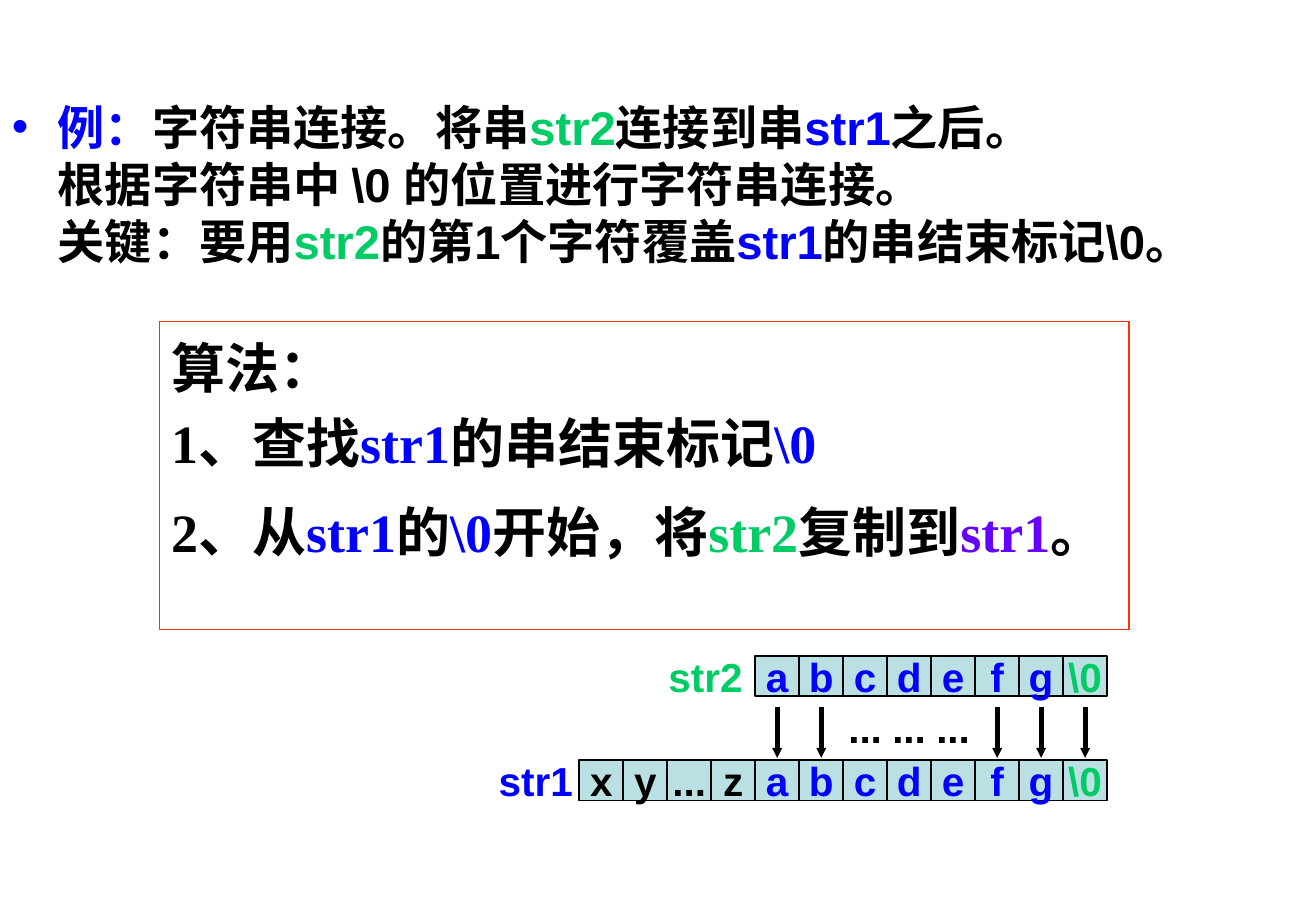
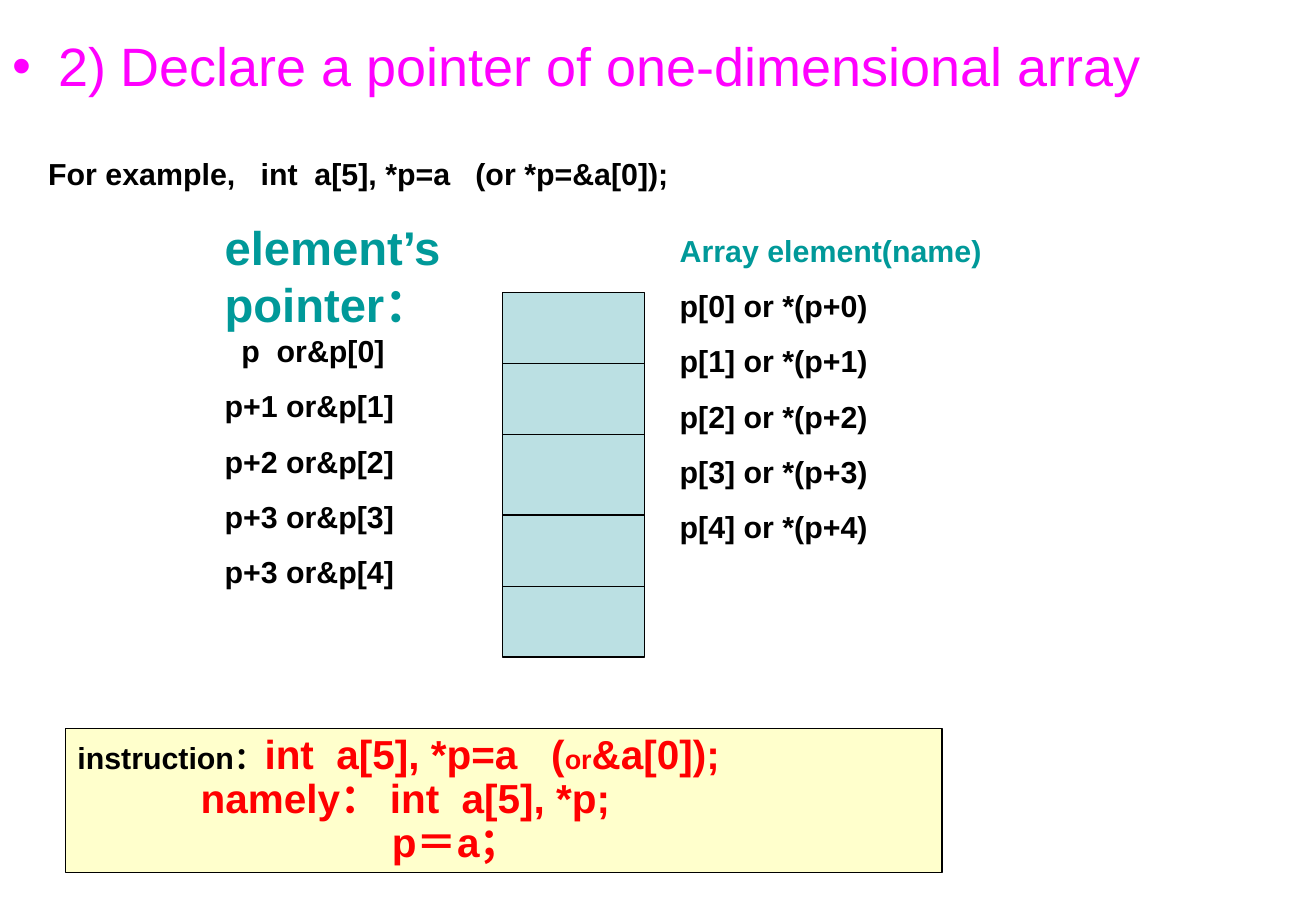
from lxml import etree
from pptx import Presentation
from pptx.dml.color import RGBColor
from pptx.enum import shapes, text
from pptx.oxml import ns
from pptx.util import Cm, Pt

COLORS = {
    "black": "000000", "blue": "0000FF", "green": "00CC66", "violet": "6600FF",
    "teal": "009999", "red": "FF0000", "magenta": "FF00FF", "orange": "FF3300",
    "cell": "BBE0E3", "note": "FFFFCC",
}
TITLE_ONLY, BLANK = 5, 6

# Content: a paragraph is a dict of runs (text, colour, optional size) and spacing
EXAMPLE = [
    dict(runs=[("例：", "blue"), ("字符串连接。将串", "black"), ("str2", "green"),
               ("连接到串", "black"), ("str1", "blue"), ("之后。", "black")],
         left=0.96, first=-0.96, bullet="blue", spacing=0.8),
    dict(runs=[("根据字符串中 \\0 的位置进行字符串连接。", "black")],
         left=0.96, spacing=0.8, before=7),
    dict(runs=[("关键：要用", "black"), ("str2", "green"), ("的第1个字符覆盖", "black"),
               ("str1", "blue"), ("的串结束标记\\0。", "black")],
         left=0.96, spacing=0.8, before=7),
]
ALGORITHM = [
    dict(runs=[("算法：", "black")], left=1.27, first=-1.27, spacing=1.1),
    dict(runs=[("1、查找", "black"), ("str1", "blue"), ("的串结束标记", "black"),
               ("\\0", "blue")],
         left=1.27, first=-1.27, spacing=0.6, before=20),
    dict(runs=[("2、从", "black"), ("str1", "blue"), ("的", "black"), ("\\0", "blue"),
               ("开始，将", "black"), ("str2", "green"), ("复制到", "black"),
               ("str1", "violet"), ("。", "black")],
         left=1.27, first=-1.27, spacing=0.9, before=20),
]
STR2_CELLS = [(letter, "blue") for letter in "abcdefg"] + [("\\0", "green")]
STR1_CELLS = [(letter, "black") for letter in ("x", "y", "...", "z")] + STR2_CELLS
# label, colour, label left, first column, top, cells
STRING_ROWS = [
    ("str2", "green", 13.84, 4, 13.72, STR2_CELLS),
    ("str1", "blue", 10.29, 0, 15.9, STR1_CELLS),
]
ARROW_COLUMNS = (4, 5, 9, 10, 11)
DOTS_COLUMNS = (6, 7, 8)

HEADING = [dict(runs=[("2) Declare a pointer of one-dimensional array", "magenta")],
                left=0.96, first=-0.96, bullet="magenta", spacing=0.9)]
DECLARATION = [dict(runs=[("For example,   int  a[5], *p=a   (or *p=&a[0]);", "black")])]
POINTERS = [
    dict(runs=[("element’s pointer：", "teal", 28)]),
    dict(runs=[("p  or&p[0]", "black")], left=0.35),
] + [dict(runs=[(line, "black")], before=11.2)
     for line in ("p+1 or&p[1]", "p+2 or&p[2]", "p+3 or&p[3]", "p+3 or&p[4]")]
ELEMENTS = [dict(runs=[("Array element(name)", "teal")])] + [
    dict(runs=[(f"p[{i}] or *(p+{i})", "black")], before=11.2) for i in range(5)]
INSTRUCTION = [
    dict(runs=[("instruction：", "black", 18), ("int  a[5], *p=a   (", "red"),
               ("or", "red", 16), ("&a[0]);", "red")], spacing=0.9),
    dict(runs=[("namely： int  a[5], *p;", "red")], left=2.58, spacing=0.9),
    dict(runs=[("p＝a；", "red")], left=6.58, spacing=0.9),
]
ARRAY_ROW_HEIGHTS = (1.48, 1.49, 1.68, 1.49, 1.48)


def rgb(name):
    return RGBColor.from_string(COLORS[name])


def add_bullet(properties, color):
    bullet_color = etree.SubElement(properties, ns.qn("a:buClr"))
    etree.SubElement(bullet_color, ns.qn("a:srgbClr"), val=COLORS[color])
    etree.SubElement(properties, ns.qn("a:buFont"), typeface="Arial")
    etree.SubElement(properties, ns.qn("a:buChar"), char="•")


def write(shape, paragraphs, size, font="Arial", bold=True, centered=False):
    frame = shape.text_frame
    frame.auto_size = text.MSO_AUTO_SIZE.NONE
    frame.word_wrap = not centered
    frame.vertical_anchor = text.MSO_ANCHOR.MIDDLE if centered else text.MSO_ANCHOR.TOP
    for index, content in enumerate(paragraphs):
        paragraph = frame.add_paragraph() if index else frame.paragraphs[0]
        properties = paragraph._p.get_or_add_pPr()
        properties.set("marL", str(Cm(content.get("left", 0))))
        properties.set("indent", str(Cm(content.get("first", 0))))
        if "bullet" in content:
            add_bullet(properties, content["bullet"])
        paragraph.alignment = text.PP_ALIGN.CENTER if centered else text.PP_ALIGN.LEFT
        paragraph.line_spacing = content.get("spacing", 1.0)
        paragraph.space_before = Pt(content.get("before", 0))
        for words, color, *own_size in content["runs"]:
            run = paragraph.add_run()
            run.text = words
            run.font.name = font
            run.font.size = Pt(own_size[0] if own_size else size)
            run.font.bold = bold
            run.font.color.rgb = rgb(color)


def add_text(slide, box, paragraphs, size, **style):
    shape = slide.shapes.add_textbox(*map(Cm, box))
    write(shape, paragraphs, size, **style)


def add_box(slide, box, fill=None, line="black", width=0.75):
    shape = slide.shapes.add_shape(shapes.MSO_SHAPE.RECTANGLE, *map(Cm, box))
    shape.shadow.inherit = False
    if fill:
        shape.fill.solid()
        shape.fill.fore_color.rgb = rgb(fill)
    else:
        shape.fill.background()
    shape.line.color.rgb = rgb(line)
    shape.line.width = Pt(width)
    return shape


def add_line(slide, ends, width, arrow=False):
    line = slide.shapes.add_connector(shapes.MSO_CONNECTOR.STRAIGHT, *map(Cm, ends))
    line.line.color.rgb = rgb("black")
    line.line.width = Pt(width)
    if arrow:
        etree.SubElement(line.line._get_or_add_ln(), ns.qn("a:tailEnd"),
                         type="triangle", w="sm", len="sm")
    etree.SubElement(line._element.spPr, ns.qn("a:effectLst"))


def build_concatenation(presentation):
    slide = presentation.slides.add_slide(presentation.slide_layouts[BLANK])
    add_text(slide, (0, 2.16, 27.51, 5.16), EXAMPLE, 28)

    # String cells and their labels
    row_left, cell_width, cell_height = 12.12, 0.92, 0.84
    arrow_top, arrow_bottom = 14.78, 15.85

    def cell_box(column, top):
        return row_left + column * cell_width, top, cell_width, cell_height

    for label, color, label_left, first_column, top, cells in STRING_ROWS:
        add_text(slide, (label_left, top, 2 * cell_width, cell_height),
                 [dict(runs=[(label, color)])], 24, centered=True)
        for column, cell in enumerate(cells, first_column):
            shape = add_box(slide, cell_box(column, top), "cell", width=1)
            write(shape, [dict(runs=[cell])], 24, centered=True)

    # Copy arrows
    for column in ARROW_COLUMNS:
        x = row_left + (column + 0.5) * cell_width
        add_line(slide, (x, arrow_top, x, arrow_bottom), 3, arrow=True)
    for column in DOTS_COLUMNS:
        add_text(slide, cell_box(column, arrow_top),
                 [dict(runs=[("...", "black")])], 24, centered=True)

    steps = add_box(slide, (3.33, 6.73, 20.29, 6.43), line="orange")
    write(steps, ALGORITHM, 32, font="Times New Roman")


def build_array_pointer(presentation):
    slide = presentation.slides.add_slide(presentation.slide_layouts[TITLE_ONLY])
    title = slide.shapes.title
    title.left, title.top, title.width, title.height = map(Cm, (0, 0.71, 26.77, 2.54))
    write(title, HEADING, 32, bold=False)
    add_text(slide, (4.45, 4.45, 7.24, 8.03), POINTERS, 18)

    # Array memory
    left, top, width = 10.52, 6.12, 2.97
    add_box(slide, (left, top, width, sum(ARRAY_ROW_HEIGHTS)), "cell")
    y = top
    for height in ARRAY_ROW_HEIGHTS[:-1]:
        y += height
        add_line(slide, (left, y, left + width, y), 0.75)

    add_text(slide, (13.97, 4.72, 7.34, 6.81), ELEMENTS, 18)
    note = add_box(slide, (1.37, 15.24, 18.34, 3), "note")
    write(note, INSTRUCTION, 24)
    add_text(slide, (0.76, 3.12, 25.15, 1.78), DECLARATION, 18)


def main():
    presentation = Presentation()
    presentation.slide_width, presentation.slide_height = Cm(27.53), Cm(19.05)
    build_concatenation(presentation)
    build_array_pointer(presentation)
    presentation.save("out.pptx")


if __name__ == "__main__":
    main()
